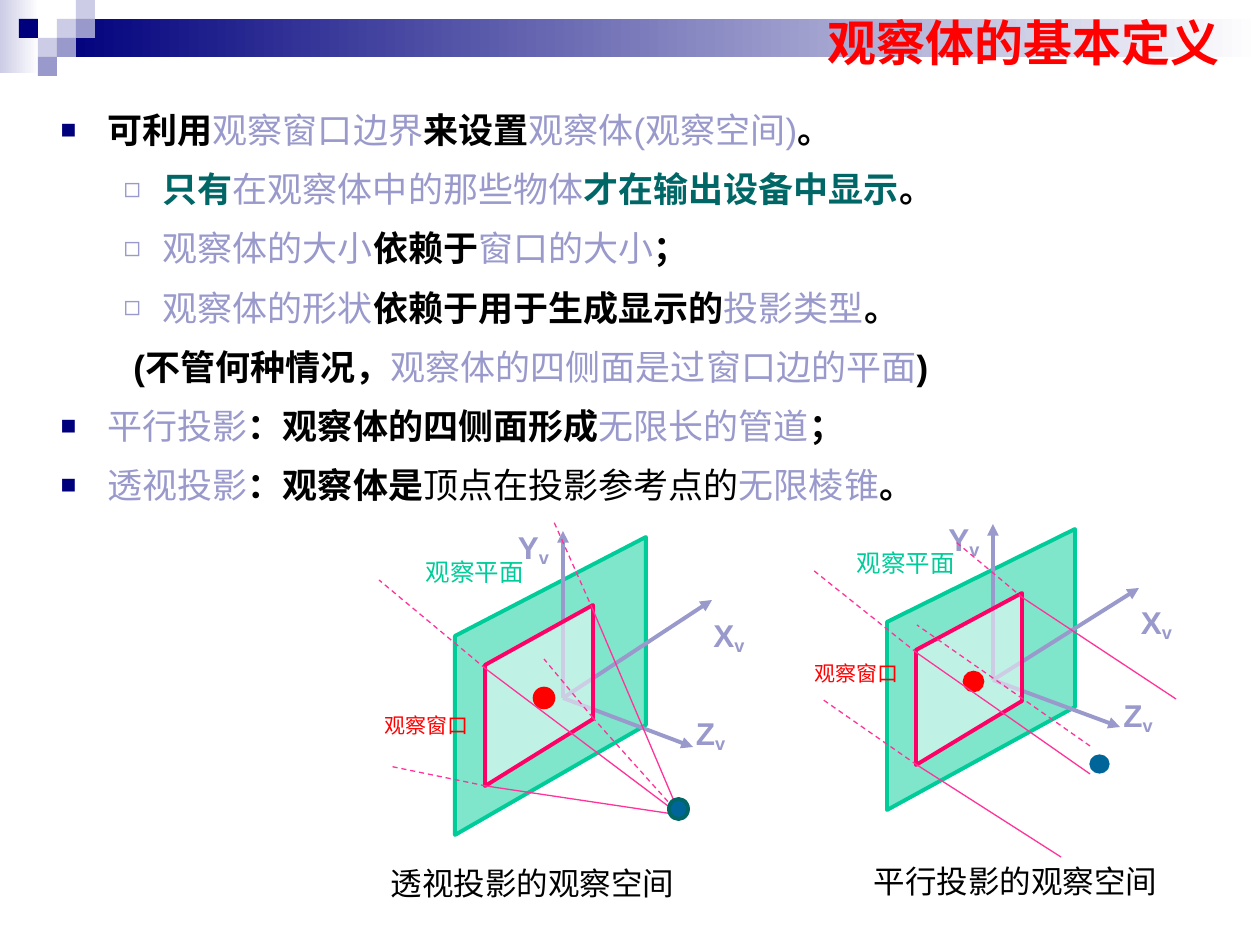
from dataclasses import dataclass
from lxml.etree import SubElement
from pptx import Presentation
from pptx.dml.color import RGBColor
from pptx.enum.dml import MSO_LINE
from pptx.enum.shapes import MSO_CONNECTOR, MSO_SHAPE
from pptx.enum.text import MSO_ANCHOR, MSO_AUTO_SIZE, PP_ALIGN
from pptx.oxml.ns import qn
from pptx.util import Emu, Pt

SCALE = 914400 / 126
CELL = 19
NAVY = RGBColor(0x00, 0x00, 0x7D)
LILAC = RGBColor(0x99, 0x99, 0xCC)
PALE = RGBColor(0xCC, 0xCC, 0xE6)
WHITE = RGBColor(0xFF, 0xFF, 0xFF)
BLACK = RGBColor(0x00, 0x00, 0x00)
RED = RGBColor(0xFF, 0x00, 0x00)
TEAL = RGBColor(0x00, 0x66, 0x66)
GREEN = RGBColor(0x00, 0xCC, 0x99)
ROSE = RGBColor(0xFF, 0x00, 0x66)
PINK = RGBColor(0xFF, 0x33, 0x99)
BLUE = RGBColor(0x00, 0x66, 0x99)

Spot = tuple[int, int]
Box = tuple[int, int, int, int]


@dataclass
class Bit:
    text: str
    color: RGBColor = LILAC
    bold: bool = False


@dataclass
class Item:
    bits: list[Bit]
    level: int = 0
    mark: bool = True


@dataclass
class Level:
    left: int
    hang: int
    sign: str
    color: RGBColor
    size: int


@dataclass
class Ray:
    near: Spot
    edge: Spot
    far: Spot
    hidden: bool = False


@dataclass
class Scene:
    plane: list[Spot]
    center: Spot
    tips: list[Spot]
    names: list[Box]
    plane_tag: Box
    frame: list[Spot]
    dot: Box
    rays: list[Ray]
    frame_tag: Box
    eye: Box
    rim: RGBColor
    width: float
    title: str
    title_box: Box


LEVELS = [Level(47, 47, "■", NAVY, 75), Level(102, 39, "◻", LILAC, 80)]

ITEMS = [
    Item([Bit("可利用", BLACK, True), Bit("观察窗口边界"), Bit("来设置", BLACK, True),
          Bit("观察体(观察空间)"), Bit("。", BLACK, True)]),
    Item([Bit("只有", TEAL, True), Bit("在观察体中的那些物体"),
          Bit("才在输出设备中显示", TEAL, True), Bit("。", BLACK, True)], 1),
    Item([Bit("观察体的大小"), Bit("依赖于", BLACK, True), Bit("窗口的大小"),
          Bit("；", BLACK, True)], 1),
    Item([Bit("观察体的形状"), Bit("依赖于用于生成显示的", BLACK, True),
          Bit("投影类型"), Bit("。", BLACK, True)], 1),
    Item([Bit(" (不管何种情况，", BLACK, True), Bit("观察体的四侧面是过窗口边的平面"),
          Bit(")", BLACK, True)], 1, False),
    Item([Bit("平行投影"), Bit("：观察体的四侧面形成", BLACK, True),
          Bit("无限长的管道"), Bit("；", BLACK, True)]),
    Item([Bit("透视投影"), Bit("：观察体是", BLACK, True), Bit("顶点在投影参考点的", BLACK),
          Bit("无限棱锥"), Bit("。", BLACK, True)]),
]

APEX = (680, 815)
SCENES = [
    Scene([(455, 636), (455, 835), (646, 725), (646, 537)], (563, 698),
          [(712, 600), (563, 531), (693, 747)],
          [(690, 610, 78, 53), (485, 522, 97, 53), (662, 708, 97, 53)],
          (397, 551, 156, 43),
          [(485, 665), (485, 786), (593, 719), (593, 605)], (534, 688, 20, 20),
          [Ray(APEX, (593, 610), (554, 522)), Ray(APEX, (593, 718), (544, 659), True),
           Ray(APEX, (486, 786), (389, 766)), Ray(APEX, (486, 669), (379, 580))],
          (355, 706, 144, 38), (669, 799, 19, 20), TEAL, 2.25,
          "透视投影的观察空间", (375, 858, 315, 50)),
    Scene([(887, 622), (887, 810), (1075, 707), (1075, 529)], (993, 680),
          [(1139, 588), (993, 524), (1120, 727)],
          [(1118, 597, 77, 53), (916, 514, 96, 53), (1090, 690, 96, 53)],
          (829, 542, 154, 43),
          [(916, 650), (916, 765), (1022, 701), (1022, 593)], (964, 672, 19, 19),
          [Ray((1176, 699), (1023, 598), (956, 542)),
           Ray((1090, 746), (1023, 699), (917, 625), True),
           Ray((1061, 857), (917, 765), (822, 699)),
           Ray((1090, 774), (917, 653), (813, 570))],
          (786, 654, 141, 38), (1090, 755, 19, 18), BLUE, 0.75,
          "平行投影的观察空间", (858, 856, 315, 50)),
]


def px(*nums: int) -> list[Emu]:
    return [Emu(round(num * SCALE)) for num in nums]


def write(para, bit: Bit, size: int, face: str = "Arial"):
    run = para.add_run()
    run.text = bit.text
    font = run.font
    font.size, font.name, font.bold = Pt(size), face, bit.bold
    font.color.rgb = bit.color
    return run


def label(slide, box: Box, bit: Bit, size: int, face: str = "Arial"):
    frame = slide.shapes.add_textbox(*px(*box)).text_frame
    frame.word_wrap = True
    para = frame.paragraphs[0]
    para.alignment = PP_ALIGN.CENTER
    write(para, bit, size, face)
    return para


def block(slide, box: Box, color: RGBColor, fade: bool = False) -> None:
    shape = slide.shapes.add_shape(MSO_SHAPE.RECTANGLE, *px(*box))
    shape.shadow.inherit = False
    shape.line.fill.background()
    if fade:
        shape.fill.gradient()
        shape.fill.gradient_angle = 0
        for stop, tint in zip(shape.fill.gradient_stops, (color, WHITE)):
            stop.color.rgb = tint
    else:
        shape.fill.solid()
        shape.fill.fore_color.rgb = color


def paint(shape, fill: RGBColor, line: RGBColor, width: float) -> None:
    shape.shadow.inherit = False
    shape.fill.solid()
    shape.fill.fore_color.rgb = fill
    shape.line.color.rgb = line
    shape.line.width = Pt(width)


def disc(slide, box: Box, fill: RGBColor, line: RGBColor, width: float) -> None:
    paint(slide.shapes.add_shape(MSO_SHAPE.OVAL, *px(*box)), fill, line, width)


def sheet(slide, spots: list[Spot], fill: RGBColor, line: RGBColor) -> None:
    pen = slide.shapes.build_freeform(*spots[0], scale=SCALE)
    pen.add_line_segments(spots[1:], close=True)
    shape = pen.convert_to_shape()
    paint(shape, fill, line, 2.25)
    tone = shape.element.spPr.find(qn("a:solidFill"))[0]
    SubElement(tone, qn("a:alpha"), val="50000")


def stroke(slide, start: Spot, end: Spot, color: RGBColor, width: float,
           dash: bool = False, arrow: bool = False) -> None:
    line = slide.shapes.add_connector(MSO_CONNECTOR.STRAIGHT, *px(*start, *end))
    line.line.color.rgb = color
    line.line.width = Pt(width)
    if dash:
        line.line.dash_style = MSO_LINE.DASH
    props = line.element.spPr
    if arrow:
        SubElement(props.find(qn("a:ln")), qn("a:tailEnd"), type="triangle")
    SubElement(props, qn("a:effectLst"))


def place(shape, box: Box):
    shape.left, shape.top, shape.width, shape.height = px(*box)
    frame = shape.text_frame
    frame.word_wrap = True
    frame.auto_size = MSO_AUTO_SIZE.NONE
    return frame


def bullet(para, item: Item) -> None:
    level = LEVELS[item.level]
    props = para._p.get_or_add_pPr()
    left, hang = px(level.left, level.hang)
    props.set("marL", str(left))
    props.set("indent", str(-hang))
    if not item.mark:
        SubElement(props, qn("a:buNone"))
        return
    SubElement(SubElement(props, qn("a:buClr")), qn("a:srgbClr"), val=str(level.color))
    SubElement(props, qn("a:buSzPct"), val=str(level.size * 1000))
    SubElement(props, qn("a:buFont"), typeface="Arial")
    SubElement(props, qn("a:buChar"), char=level.sign)


def fill_body(frame) -> None:
    for num, item in enumerate(ITEMS):
        para = frame.add_paragraph() if num else frame.paragraphs[0]
        para.level = item.level
        para.alignment = PP_ALIGN.JUSTIFY
        para.line_spacing = 1.2
        para.space_before = Pt(5)
        bullet(para, item)
        for bit in item.bits:
            write(para, bit, 20)


def draw(slide, scene: Scene) -> None:
    sheet(slide, scene.plane, GREEN, GREEN)
    for name, tip, box in zip("XYZ", scene.tips, scene.names):
        stroke(slide, scene.center, tip, LILAC, 2.25, arrow=True)
        para = label(slide, box, Bit(name, LILAC, True), 18)
        low = write(para, Bit("v", LILAC, True), 18)
        low.font._element.set("baseline", "-16000")
    label(slide, scene.plane_tag, Bit("观察平面", GREEN), 14)
    sheet(slide, scene.frame, WHITE, ROSE)
    disc(slide, scene.dot, RED, RED, 1.5)
    for ray in scene.rays:
        stroke(slide, ray.near, ray.edge, PINK, 0.75, ray.hidden)
        stroke(slide, ray.edge, ray.far, PINK, 0.75, True)
    label(slide, scene.frame_tag, Bit("观察窗口", RED), 12)
    disc(slide, scene.eye, BLUE, scene.rim, scene.width)
    label(slide, scene.title_box, Bit(scene.title, BLACK), 18, "Times New Roman")


def main() -> None:
    deck = Presentation()
    deck.slide_width, deck.slide_height = px(1260, 945)
    slide = deck.slides.add_slide(deck.slide_layouts[1])
    title, body = slide.placeholders
    block(slide, (0, 0, 39, 73), PALE, True)
    block(slide, (57, 19, 1203, 38), NAVY, True)
    for col, row, color in [(3, 1, PALE), (4, 0, PALE), (4, 1, LILAC), (2, 2, PALE),
                            (1, 1, NAVY), (3, 2, LILAC), (2, 3, LILAC)]:
        block(slide, (col * CELL, row * CELL, CELL, CELL), color)
    for shape in (title, body):
        slide.shapes._spTree.append(shape.element)
    frame = place(title, (815, 10, 433, 63))
    frame.vertical_anchor = MSO_ANCHOR.MIDDLE
    frame.paragraphs[0].alignment = PP_ALIGN.LEFT
    write(frame.paragraphs[0], Bit("观察体的基本定义", RED, True), 28)
    fill_body(place(body, (48, 94, 1181, 426)))
    for scene in SCENES:
        draw(slide, scene)
    deck.save("out.pptx")


if __name__ == "__main__":
    main()
